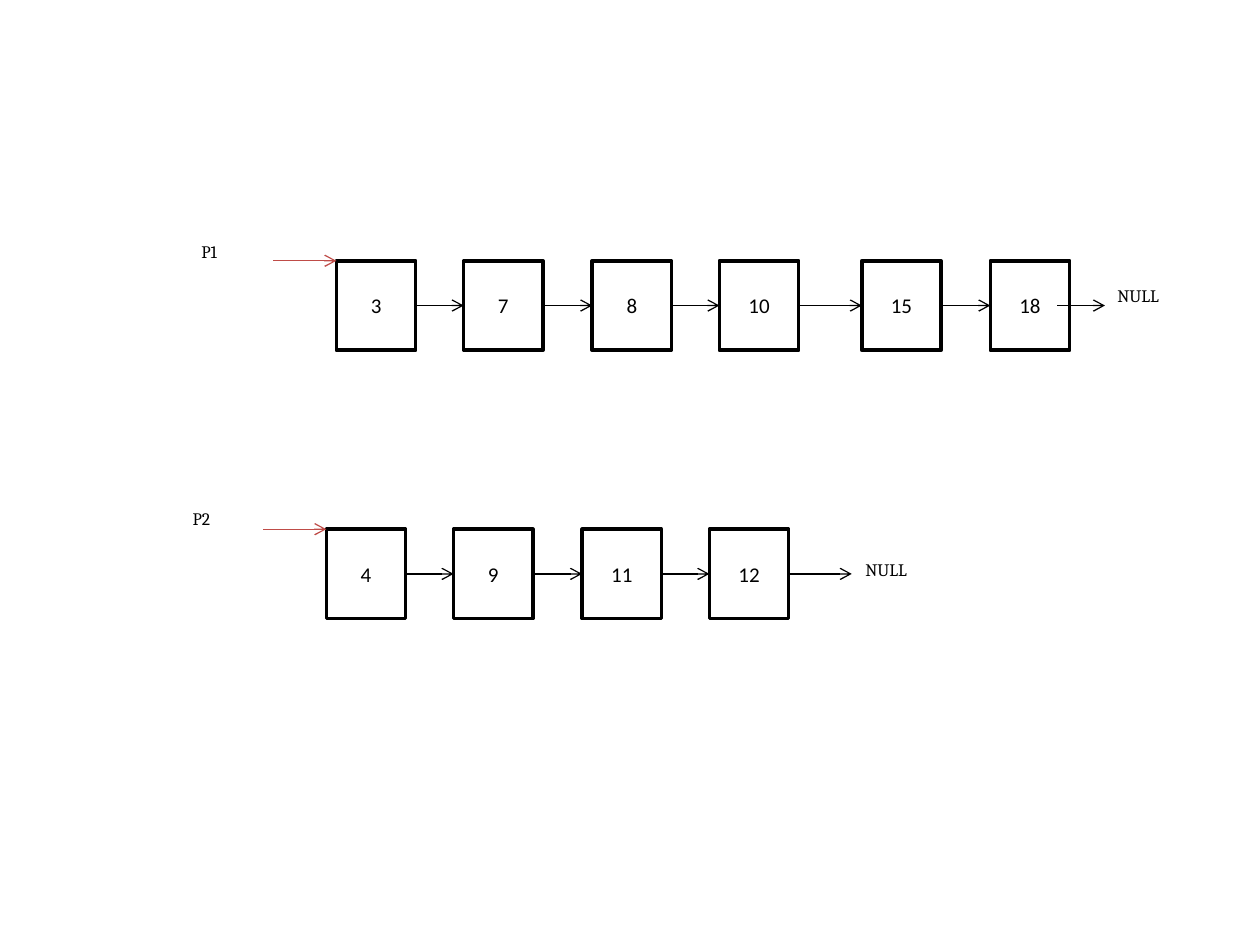
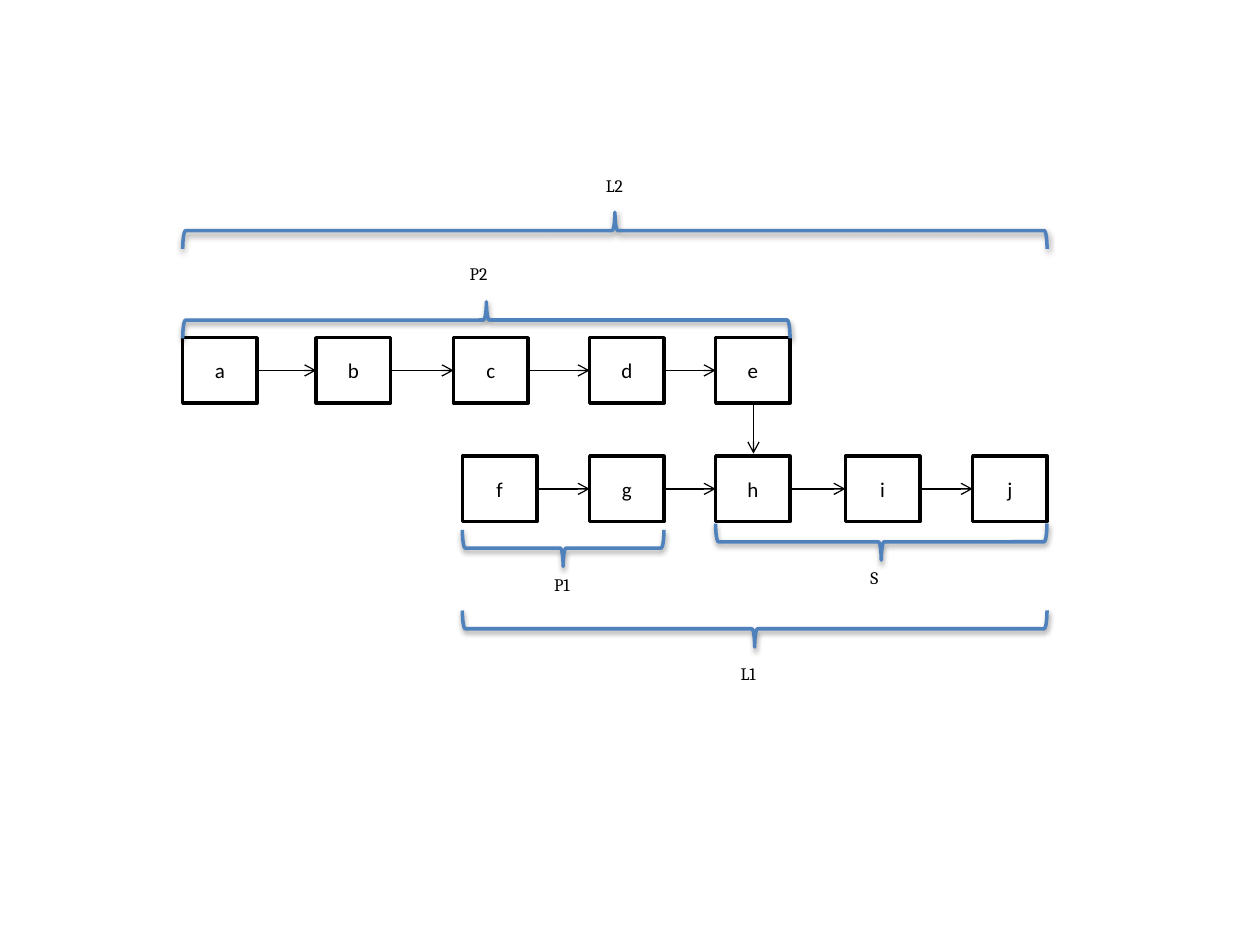
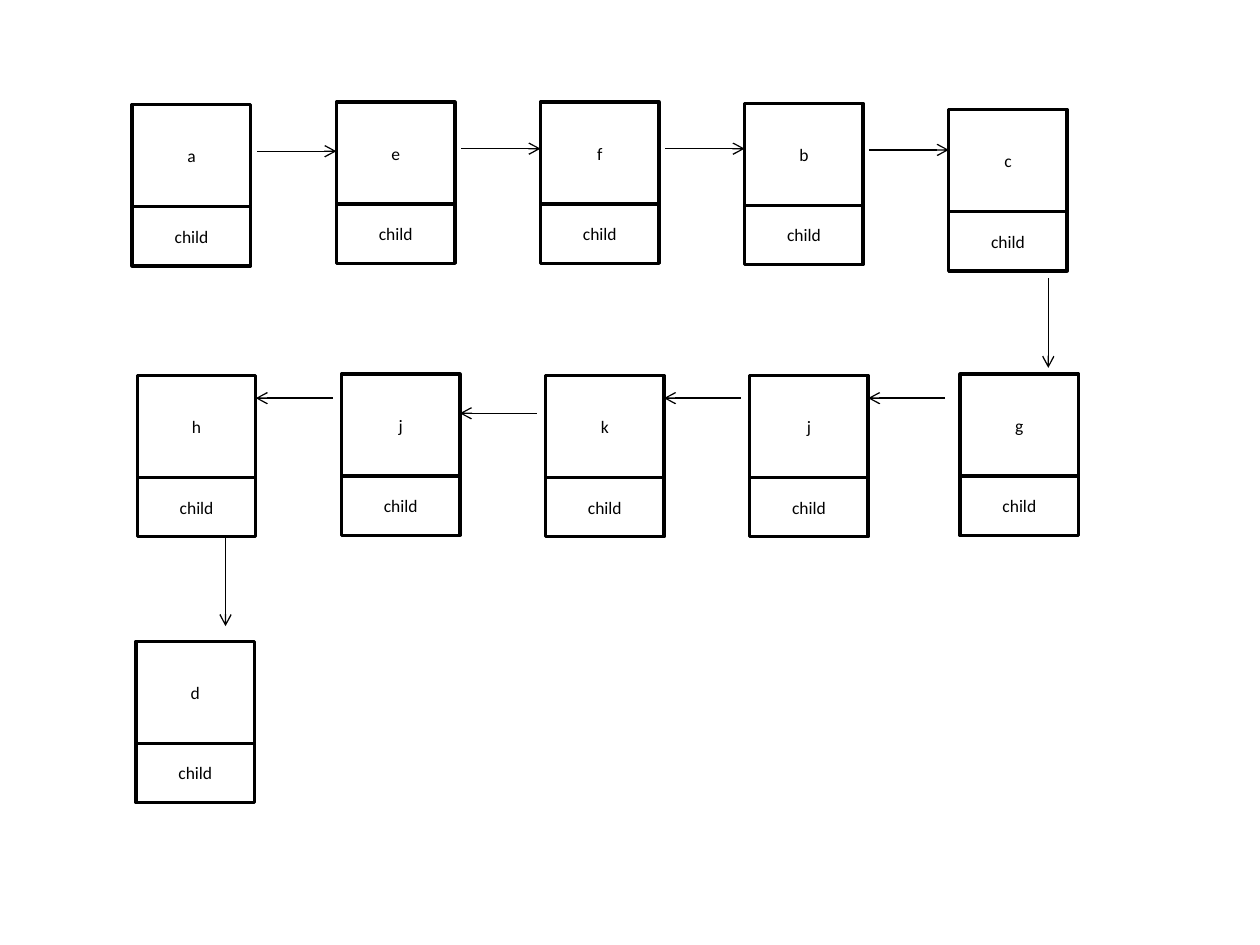
"""Build three slides of linked list diagrams."""
from lxml import etree
from pptx import Presentation
from pptx.dml.color import RGBColor
from pptx.enum.shapes import MSO_CONNECTOR, MSO_SHAPE
from pptx.enum.text import MSO_ANCHOR, PP_ALIGN
from pptx.oxml.ns import qn
from pptx.util import Inches, Pt

RECT, BRACE = MSO_SHAPE.RECTANGLE, MSO_SHAPE.LEFT_BRACE
STRAIGHT = MSO_CONNECTOR.STRAIGHT
MIDDLE, CENTER = MSO_ANCHOR.MIDDLE, PP_ALIGN.CENTER
rgb = RGBColor.from_string
BLACK, WHITE, RED, BLUE = "000000", "FFFFFF", "BF4C48", "4F81BD"
NODE_FONT = {"name": "Calibri", "size": Pt(12)}
CHILD_FONT = {"name": "Calibri", "size": Pt(10)}
LABEL_FONT = {"name": "Cambria", "size": Pt(10)}


def add_node(s, x, y, w, h, text, font=NODE_FONT):
    sp = s.shapes.add_shape(RECT, Inches(x), Inches(y), Inches(w), Inches(h))
    sp.shadow.inherit = False
    sp.fill.solid()
    sp.fill.fore_color.rgb = rgb(WHITE)
    sp.line.color.rgb = rgb(BLACK)
    sp.line.width = Pt(2)
    sp.text_frame.vertical_anchor = MIDDLE
    p = sp.text_frame.paragraphs[0]
    p.alignment = CENTER
    r = p.add_run()
    r.text = text
    r.font.color.rgb = rgb(BLACK)
    for key, value in font.items():
        setattr(r.font, key, value)


def add_arrow(s, x1, y1, x2, y2, color=BLACK):
    sp = s.shapes.add_connector(STRAIGHT, Inches(x1), Inches(y1), Inches(x2), Inches(y2))
    sp.line.color.rgb = rgb(color)
    sp.line.width = Pt(0.75)
    spPr = sp._element.spPr
    etree.SubElement(spPr.find(qn("a:ln")), qn("a:tailEnd"), type="arrow")
    etree.SubElement(spPr, qn("a:effectLst"))


prs = Presentation()
prs.slide_width, prs.slide_height = Inches(10), Inches(7.5)
lists, shared, nested = [prs.slides.add_slide(prs.slide_layouts[6]) for _ in range(3)]

NODE_W, NODE_H = 0.63, 0.71
rows = [
    (2.07, {"3": 2.67, "7": 3.68, "8": 4.7, "10": 5.71, "15": 6.84, "18": 7.86}, 8.39, 8.77),
    (4.2, {"4": 2.59, "9": 3.6, "11": 4.62, "12": 5.63}, 6.27, 6.76),
]
for y, nodes, null_start, null_end in rows:
    xs = list(nodes.values())
    mid = y + NODE_H / 2
    for text, x in nodes.items():
        add_node(lists, x, y, NODE_W, NODE_H, text)
    for x, following in zip(xs, xs[1:]):
        add_arrow(lists, x + NODE_W, mid, following, mid)
    add_arrow(lists, null_start, mid, null_end, mid)
    add_arrow(lists, xs[0] - 0.5, y, xs[0], y, RED)

NODE_W, NODE_H = 0.59, 0.52
rows = [
    (2.68, {"a": 1.45, "b": 2.51, "c": 3.6, "d": 4.68, "e": 5.68}),
    (3.62, {"f": 3.67, "g": 4.68, "h": 5.68, "i": 6.71, "j": 7.72}),
]
for y, nodes in rows:
    xs = list(nodes.values())
    mid = y + NODE_H / 2
    for text, x in nodes.items():
        add_node(shared, x, y, NODE_W, NODE_H, text)
    for x, following in zip(xs, xs[1:]):
        add_arrow(shared, x + NODE_W, mid, following, mid)
add_arrow(shared, 5.98, 3.2, 5.98, 3.6)

BRACE_W = 0.29
braces = [
    (5.68, 8.31, 4.3, 270),
    (3.67, 8.31, 4.99, 270),
    (3.67, 5.27, 4.35, 270),
    (1.45, 6.27, 2.54, 90),
    (1.45, 8.31, 1.83, 90),
]
for start, end, mid, rotation in braces:
    length = end - start
    x, y = (start + end - BRACE_W) / 2, mid - length / 2
    sp = shared.shapes.add_shape(BRACE, Inches(x), Inches(y), Inches(BRACE_W), Inches(length))
    sp.rotation = rotation
    sp.adjustments[0], sp.adjustments[1] = 0.08, 0.5
    sp.fill.background()
    sp.line.color.rgb = rgb(BLUE)
    sp.line.width = Pt(2)
    sp.shadow.inherit = False
    effects = sp._element.spPr.find(qn("a:effectLst"))
    shadow = etree.SubElement(effects, qn("a:outerShdw"), blurRad="40000", dist="20000",
                              dir="5400000", rotWithShape="0")
    color = etree.SubElement(shadow, qn("a:srgbClr"), val=BLACK)
    etree.SubElement(color, qn("a:alpha"), val="38000")

NODE_W, NODE_H, CHILD_H = 0.94, 0.81, 0.47
nodes = [
    ("a", 1.05, 0.83), ("e", 2.67, 0.81), ("f", 4.29, 0.81), ("b", 5.91, 0.82), ("c", 7.53, 0.87),
    ("g", 7.62, 2.97), ("j", 5.95, 2.98), ("k", 4.33, 2.98), ("j", 2.71, 2.97), ("h", 1.09, 2.98),
    ("d", 1.08, 5.09),
]
for text, x, y in nodes:
    add_node(nested, x, y, NODE_W, NODE_H, text, CHILD_FONT)
    add_node(nested, x, y + NODE_H, NODE_W, CHILD_H, "child", CHILD_FONT)
for (text, x, y), following in zip(nodes[:4], nodes[1:5]):
    add_arrow(nested, x + 0.99, y + 0.37, following[1], y + 0.37)
for (text, x, y), mid in zip(nodes[6:10], [3.16, 3.16, 3.28, 3.16]):
    add_arrow(nested, x + NODE_W + 0.61, mid, x + NODE_W, mid)
add_arrow(nested, 8.32, 2.21, 8.32, 2.92)
add_arrow(nested, 1.79, 4.27, 1.79, 4.97)

labels = [
    (lists, "P1", 1.5, 1.86, 0.48, 0.44), (lists, "NULL", 8.77, 2.21, 0.71, 0.44),
    (lists, "P2", 1.43, 3.98, 0.48, 0.44), (lists, "NULL", 6.77, 4.39, 0.71, 0.44),
    (shared, "S", 6.81, 4.45, 0.53, 0.34), (shared, "L1", 5.78, 5.21, 0.53, 0.34),
    (shared, "P1", 4.3, 4.51, 0.53, 0.34), (shared, "P2", 3.63, 2.04, 0.53, 0.34),
    (shared, "L2", 4.71, 1.34, 0.53, 0.34),
]
for s, text, x, y, w, h in labels:
    tf = s.shapes.add_textbox(Inches(x), Inches(y), Inches(w), Inches(h)).text_frame
    tf.word_wrap = True
    r = tf.paragraphs[0].add_run()
    r.text = text
    r.font.color.rgb = rgb(BLACK)
    for key, value in LABEL_FONT.items():
        setattr(r.font, key, value)

prs.save("out.pptx")
